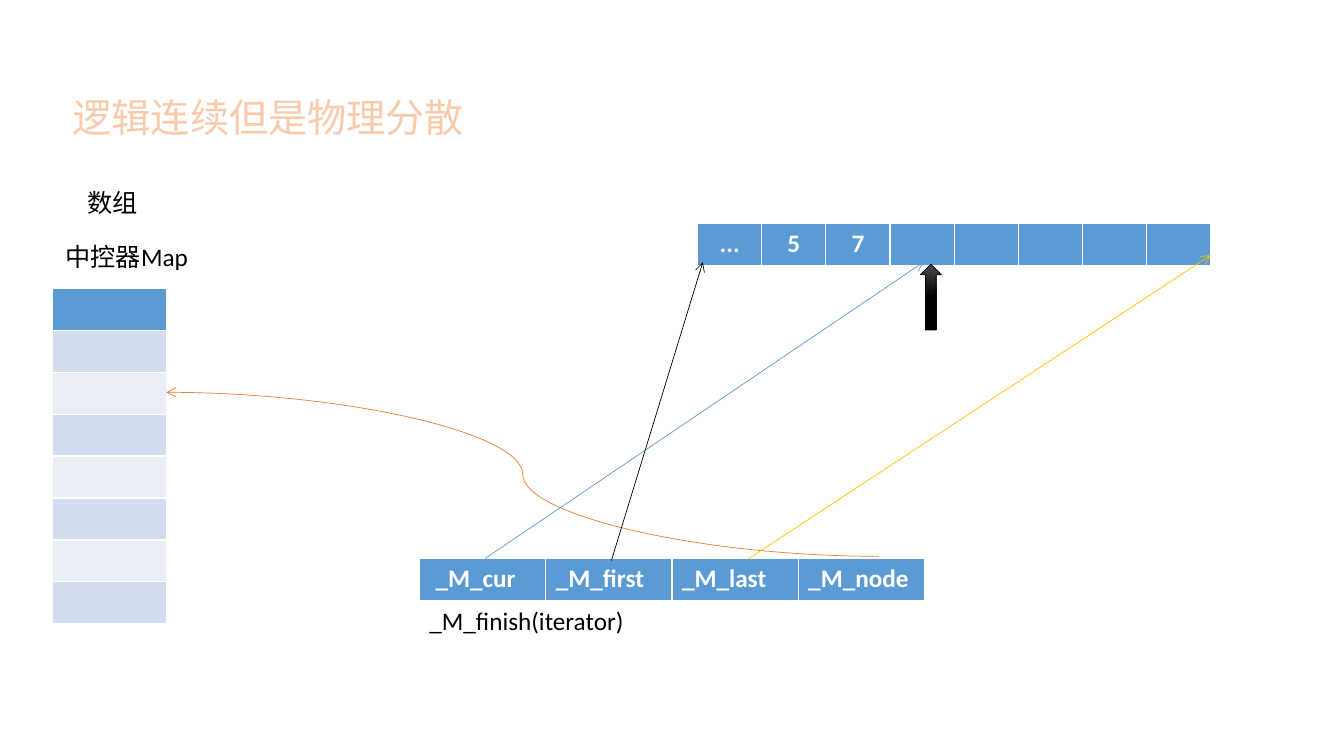
from lxml import etree
from pptx import Presentation
from pptx.dml.color import RGBColor
from pptx.enum.shapes import MSO_CONNECTOR, MSO_SHAPE
from pptx.enum.text import MSO_ANCHOR, PP_ALIGN
from pptx.oxml.ns import qn
from pptx.util import Inches, Pt

STRAIGHT, CURVE = MSO_CONNECTOR.STRAIGHT, MSO_CONNECTOR.CURVE
UP = MSO_SHAPE.UP_ARROW
LEFT, CENTER = PP_ALIGN.LEFT, PP_ALIGN.CENTER
MIDDLE, TOP = MSO_ANCHOR.MIDDLE, MSO_ANCHOR.TOP

WIDE, HIGH = Inches(13.33), Inches(7.5)
COL, ROW = WIDE / 100, HIGH / 100
FACE = "Calibri"
COLORS = {
    "blue": "5B9BD5", "dark": "D2DEEF", "light": "EAEFF7",
    "white": "FFFFFF", "black": "000000", "gray": "4B4B4B",
    "peach": "F8CBAD", "orange": "ED7D31", "gold": "FFC000",
}
HEAD = (4.65, 11.73, 33.91, 7.6)
QUEUE = (51.91, 29.6, 38.18, 5.47)
MAP = (3.9, 38.13, 8.48, 44.4)
ITER = (31.21, 73.87, 37.58, 5.6)


def rgb(name):
    """Return the named colour."""
    return RGBColor.from_string(COLORS[name])


def place(box):
    """Turn a box in grid columns and rows into slide lengths."""
    x, y, w, h = box
    return int(x * COL), int(y * ROW), int(w * COL), int(h * ROW)


def spot(box, across, down):
    """Return the point at the given shares of a box."""
    x, y, w, h = box
    return int((x + w * across) * COL), int((y + h * down) * ROW)


def style(para, size, color, bold=False, align=LEFT):
    """Set the font and alignment of a paragraph."""
    para.alignment = align
    font = para.font
    font.name, font.size, font.bold = FACE, Pt(size), bold
    font.color.rgb = rgb(color)


def label(slide, box, text):
    """Add a plain black label."""
    frame = slide.shapes.add_textbox(*place(box)).text_frame
    frame.word_wrap = True
    frame.text = text
    style(frame.paragraphs[0], 18, "black")


def grid(slide, box, rows, cols):
    """Add an even table, with a blue top row and banded rows below."""
    table = slide.shapes.add_table(rows, cols, *place(box)).table
    for i, row in enumerate(table.rows):
        for cell in row.cells:
            cell.fill.solid()
            tint = "blue" if i == 0 else "dark" if i % 2 else "light"
            cell.fill.fore_color.rgb = rgb(tint)
    return table


def write(table, words, align):
    """Write words along the top row of a table."""
    for i, word in enumerate(words):
        cell = table.cell(0, i)
        cell.text = word
        style(cell.text_frame.paragraphs[0], 18, "white", True, align)


def heading(slide, box, text):
    """Place the outlined title."""
    title = slide.shapes.title
    title.left, title.top, title.width, title.height = place(box)
    frame = title.text_frame
    frame.text = text
    frame.vertical_anchor = TOP
    para = frame.paragraphs[0]
    style(para, 28, "peach")
    props = para.runs[0]._r.get_or_add_rPr()
    edge = etree.Element(qn("a:ln"), w=str(Pt(1.75)))
    fill = etree.SubElement(edge, qn("a:solidFill"))
    etree.SubElement(fill, qn("a:srgbClr"), val=COLORS["orange"])
    props.insert(0, edge)


def queue(slide, box):
    """Draw the buffer cells and the marker under them."""
    x, y, w, h = box
    write(grid(slide, box, 1, 8), ["...", "5", "7"], CENTER)
    cell = w / 8
    mark = (x + 3.47 * cell, y + 0.98 * h, 0.33 * cell, 1.59 * h)
    arrow = slide.shapes.add_shape(UP, *place(mark))
    arrow.shadow.inherit = False
    arrow.fill.gradient()
    arrow.fill.gradient_angle = 270
    stops = arrow.fill.gradient_stops
    for stop, tint, at in zip(stops, ("gray", "black"), (0, 0.5)):
        stop.color.rgb = rgb(tint)
        stop.position = at
    arrow.line.color.rgb = rgb("black")
    arrow.line.width = Pt(0.5)


def control(slide, box):
    """Draw the map column and its two captions."""
    x, y, w, h = box
    grid(slide, box, 8, 1)
    label(slide, (x + 1.88, y - 14, 7.05, 5.33), "数组")
    label(slide, (x + 0.23, y - 6.93, 15.68, 5.33), "中控器Map")


def finish(slide, box):
    """Draw the iterator fields and their caption."""
    x, y, w, h = box
    table = grid(slide, box, 1, 4)
    write(table, ["_M_cur", "_M_first", "_M_last", "_M_node"], LEFT)
    table.cell(0, 0).margin_left = Inches(0.16)
    label(slide, (x, y + h, 20.03, 5.33), "_M_finish(iterator)")


def link(slide, kind, start, end, color):
    """Draw a thin line with an open arrowhead at its end."""
    wire = slide.shapes.add_connector(kind, *start, *end)
    wire.line.color.rgb = rgb(color)
    wire.line.width = Pt(0.5)
    edge = wire.line._get_or_add_ln()
    etree.SubElement(edge, qn("a:tailEnd"), type="arrow")
    etree.SubElement(wire._element.spPr, qn("a:effectLst"))


def links(slide, fields, cells, nodes):
    """Join the iterator fields to the map and the buffer."""
    link(slide, CURVE, spot(fields, 0.91, -0.05), spot(nodes, 1, 0.31), "orange")
    for start, end, color in (
        ((0.13, 0), (0.44, 0.93), "blue"),
        ((0.38, 0.05), (0.01, 0.93), "black"),
        ((0.65, 0.02), (1, 0.76), "gold"),
    ):
        link(slide, STRAIGHT, spot(fields, *start), spot(cells, *end), color)


def main():
    """Build and save the slide."""
    deck = Presentation()
    deck.slide_width, deck.slide_height = WIDE, HIGH
    slide = deck.slides.add_slide(deck.slide_layouts[5])
    heading(slide, HEAD, "逻辑连续但是物理分散")
    queue(slide, QUEUE)
    control(slide, MAP)
    finish(slide, ITER)
    links(slide, ITER, QUEUE, MAP)
    deck.save("out.pptx")


if __name__ == "__main__":
    main()
